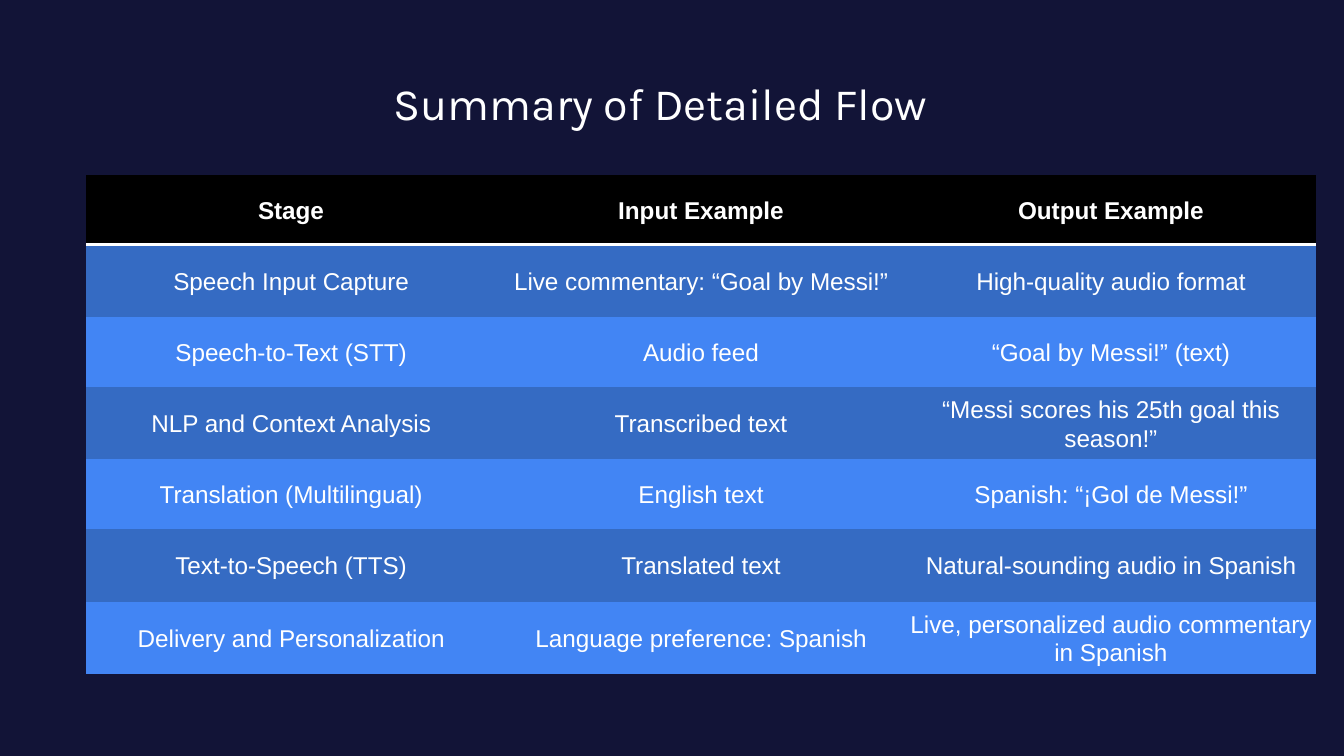
from lxml import etree
from pptx import Presentation
from pptx.dml.color import RGBColor
from pptx.enum.text import MSO_ANCHOR, PP_ALIGN
from pptx.oxml.ns import qn
from pptx.util import Inches, Pt

CENTER = PP_ALIGN.CENTER
MIDDLE = MSO_ANCHOR.MIDDLE
NAVY = RGBColor(0x12, 0x14, 0x37)
BLACK = RGBColor(0, 0, 0)
WHITE = RGBColor(0xFF, 0xFF, 0xFF)
DARK_BLUE = RGBColor(0x35, 0x6B, 0xC3)
BRIGHT_BLUE = RGBColor(0x42, 0x85, 0xF4)

TITLE = "Summary of Detailed Flow"
FLOW = [
    ("Stage", "Input Example", "Output Example"),
    ("Speech Input Capture", "Live commentary: “Goal by Messi!”", "High-quality audio format"),
    ("Speech-to-Text (STT)", "Audio feed", "“Goal by Messi!” (text)"),
    ("NLP and Context Analysis", "Transcribed text", "“Messi scores his 25th goal this season!”"),
    ("Translation (Multilingual)", "English text", "Spanish: “¡Gol de Messi!”"),
    ("Text-to-Speech (TTS)", "Translated text", "Natural-sounding audio in Spanish"),
    ("Delivery and Personalization", "Language preference: Spanish", "Live, personalized audio commentary in Spanish"),
]
ROW_HEIGHTS = [0.52, 0.54, 0.52, 0.54, 0.52, 0.54, 0.54]
COLUMN_WIDTH = 3.05
CELL_MARGIN = Inches(0.01)


def write(frame, text, font="Arial", size=13, bold=False, spacing=None, after=None):
    frame.word_wrap = True
    paragraph = frame.paragraphs[0]
    paragraph.alignment = CENTER
    paragraph.line_spacing = spacing
    paragraph.space_after = after
    run = paragraph.add_run()
    run.text = text
    run.font.name = font
    run.font.size = Pt(size)
    run.font.bold = bold
    run.font.color.rgb = WHITE


def set_borders(cell, ruled_edge):
    properties = cell._tc.get_or_add_tcPr()
    for edge in ("lnL", "lnR", "lnT", "lnB"):
        border = etree.SubElement(properties, qn(f"a:{edge}"))
        if edge == ruled_edge:
            border.set("w", str(Pt(2)))
            fill = etree.SubElement(border, qn("a:solidFill"))
            etree.SubElement(fill, qn("a:srgbClr"), val=str(WHITE))
        else:
            etree.SubElement(border, qn("a:noFill"))


deck = Presentation()
deck.slide_width = Inches(10)
deck.slide_height = deck.slide_width * 9 // 16
slide = deck.slides.add_slide(deck.slide_layouts[6])
slide.background.fill.solid()
slide.background.fill.fore_color.rgb = NAVY

title = slide.shapes.add_textbox(Inches(0.96), Inches(0.46), Inches(7.91), Inches(0.59)).text_frame
title.margin_left = title.margin_right = title.margin_top = title.margin_bottom = Inches(0.1)
write(title, TITLE, font="Karla", size=24)

columns = len(FLOW[0])
flow_table = slide.shapes.add_table(
    len(FLOW), columns, Inches(0.64), Inches(1.3),
    Inches(COLUMN_WIDTH * columns), Inches(sum(ROW_HEIGHTS))).table
for column in flow_table.columns:
    column.width = Inches(COLUMN_WIDTH)

for r, (stage, height) in enumerate(zip(FLOW, ROW_HEIGHTS)):
    flow_table.rows[r].height = Inches(height)
    color = BLACK if r == 0 else (BRIGHT_BLUE, DARK_BLUE)[r % 2]
    for c, text in enumerate(stage):
        cell = flow_table.cell(r, c)
        set_borders(cell, {0: "lnB", 1: "lnT"}.get(r))
        cell.fill.solid()
        cell.fill.fore_color.rgb = color
        cell.vertical_anchor = MIDDLE
        cell.margin_left = cell.margin_right = cell.margin_top = cell.margin_bottom = CELL_MARGIN
        write(cell.text_frame, text, bold=r == 0, spacing=1.07, after=Pt(8))

deck.save("out.pptx")
